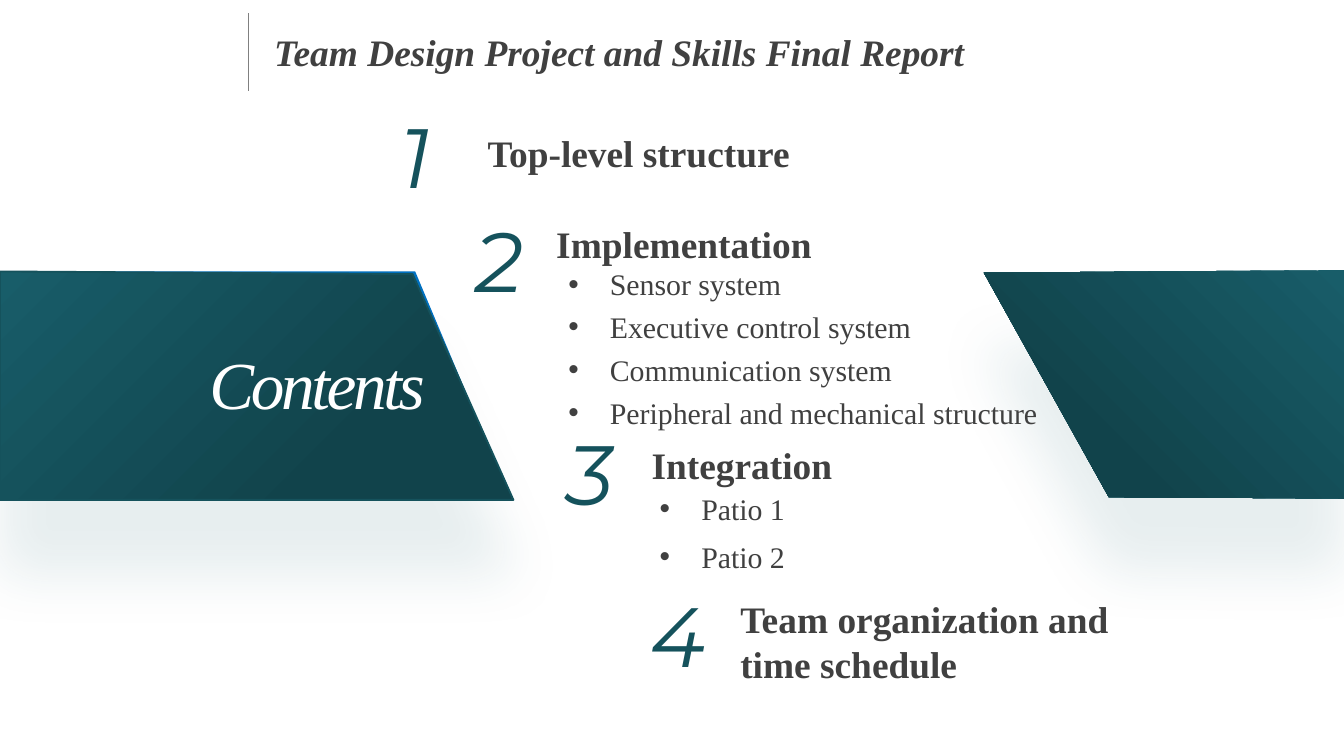
from lxml.etree import SubElement
from pptx import Presentation
from pptx.dml.color import RGBColor
from pptx.enum.shapes import MSO_CONNECTOR
from pptx.enum.text import MSO_ANCHOR, PP_ALIGN
from pptx.oxml.ns import qn
from pptx.util import Inches, Pt

COLORS = {"text": "404040", "accent": "15525C", "light": "185D69", "dark": "11434B",
          "edge": "0070C0", "rule": "808080", "white": "FFFFFF"}
SERIF, NUMERAL = "Times New Roman", "Montserrat"

REPORT_TITLE = "Team Design Project and Skills Final Report"
RIGHT_PANEL = [(10, 2.01), (7.32, 2.03), (8.25, 3.7), (10, 3.71)]
EDGE_PANEL = [(0, 2.02), (3.09, 2.02), (3.8, 3.71), (0, 3.71)]
LEFT_PANEL = [(0, 2.02), (3.07, 2.04), (3.82, 3.72), (0, 3.72)]
SECTIONS = [
    {"number": (2.88, 0.73), "heading": (3.53, 0.92, 3.77, 0.44), "text": "Top-level structure"},
    {"number": (3.44, 1.5), "heading": (4.04, 1.6, 2.11, 0.44), "text": "Implementation",
     "list": (4.13, 1.93, 3.75, 1.33), "gap": 3.7,
     "items": ["Sensor system", "Executive control system", "Communication system",
               "Peripheral and mechanical structure"]},
    {"number": (4.12, 3.09), "heading": (4.75, 3.24, 1.56, 0.44), "text": "Integration",
     "list": (4.81, 3.6, 1.15, 0.73), "gap": 6.6, "items": ["Patio 1", "Patio 2"]},
    {"number": (4.74, 4.29), "heading": (5.41, 4.39, 3.46, 0.77),
     "text": "Team organization and\vtime schedule"},
]


def color(name):
    return RGBColor.from_string(COLORS[name])


def place(shape, frame):
    shape.left, shape.top, shape.width, shape.height = map(Inches, frame)


def style(para, size, name, font=SERIF, bold=False, italic=False):
    para.alignment = PP_ALIGN.LEFT
    para.font.size = Pt(size)
    for span in para.runs:
        span.font.name = font
        span.font.size = Pt(size)
        span.font.bold = bold
        span.font.italic = italic
        span.font.color.rgb = color(name)


def add_text(slide, frame, text, wrap=True, **format):
    box = slide.shapes.add_textbox(*map(Inches, frame))
    box.text_frame.word_wrap = wrap
    box.text_frame.text = text
    style(box.text_frame.paragraphs[0], **format)
    return box


def add_list(slide, frame, items, gap):
    box = slide.shapes.add_textbox(*map(Inches, frame))
    box.text_frame.word_wrap = False
    box.text_frame.text = "\n".join(items)
    for index, para in enumerate(box.text_frame.paragraphs):
        properties = para._p.get_or_add_pPr()
        properties.set("marL", str(Inches(0.31)))
        properties.set("indent", str(Inches(-0.31)))
        SubElement(properties, qn("a:buFont"), typeface="Arial")
        SubElement(properties, qn("a:buChar"), char="•")
        style(para, 16, "text")
        para.space_before = Pt(gap if index else 0)


def add_panel(slide, points):
    corners = [(Inches(x), Inches(y)) for x, y in points]
    builder = slide.shapes.build_freeform(*corners[0])
    builder.add_line_segments(corners[1:], close=True)
    panel = builder.convert_to_shape()
    panel.shadow.inherit = False
    panel.line.fill.background()
    return panel


def add_gradient_panel(slide, points, angle):
    panel = add_panel(slide, points)
    panel.fill.gradient()
    panel.fill.gradient_angle = angle
    for stop, (position, name) in zip(panel.fill.gradient_stops, [(0, "light"), (0.71, "dark")]):
        stop.position = position
        stop.color.rgb = color(name)
    effects = panel._element.spPr.find(qn("a:effectLst"))
    shadow = SubElement(effects, qn("a:outerShdw"), blurRad=str(Pt(30)), dist=str(Pt(40)),
                        dir="5400000", algn="t", rotWithShape="0")
    tint = SubElement(shadow, qn("a:srgbClr"), val=COLORS["light"])
    SubElement(tint, qn("a:alpha"), val="10000")
    return panel


def main():
    deck = Presentation()
    deck.slide_width, deck.slide_height = Inches(10), Inches(10 * 9 / 16)
    slide = deck.slides.add_slide(deck.slide_layouts[5])

    add_gradient_panel(slide, RIGHT_PANEL, 225)
    edge = add_panel(slide, EDGE_PANEL)
    edge.fill.solid()
    edge.fill.fore_color.rgb = color("edge")
    left = add_gradient_panel(slide, LEFT_PANEL, 315)
    left.line.color.rgb = color("accent")
    left.line.width = Pt(1)

    title = slide.shapes.title
    place(title, (1.94, 0.17, 5.68, 0.44))
    title.text_frame.text = REPORT_TITLE
    title.text_frame.word_wrap = True
    title.text_frame.vertical_anchor = MSO_ANCHOR.TOP
    style(title.text_frame.paragraphs[0], 20, "text", bold=True, italic=True)

    contents = add_text(slide, (1.46, 2.5, 1.94, 0.71), "Contents",
                        size=36, name="white", italic=True)
    contents.text_frame.paragraphs[0].runs[0].font._element.set("spc", "-180")

    for number, section in enumerate(SECTIONS, 1):
        add_text(slide, section["heading"], section["text"], size=20, name="text", bold=True)
        add_text(slide, (*section["number"], 0.62, 0.86), str(number), wrap=False,
                 size=45, name="accent", font=NUMERAL, italic=True)
        if "items" in section:
            add_list(slide, section["list"], section["items"], section["gap"])

    rule = slide.shapes.add_connector(MSO_CONNECTOR.STRAIGHT, Inches(1.85), Inches(0.1),
                                      Inches(1.85), Inches(0.68))
    rule.line.color.rgb = color("rule")
    rule.line.width = Pt(0.5)
    SubElement(rule._element.spPr, qn("a:effectLst"))

    deck.save("out.pptx")


if __name__ == "__main__":
    main()
